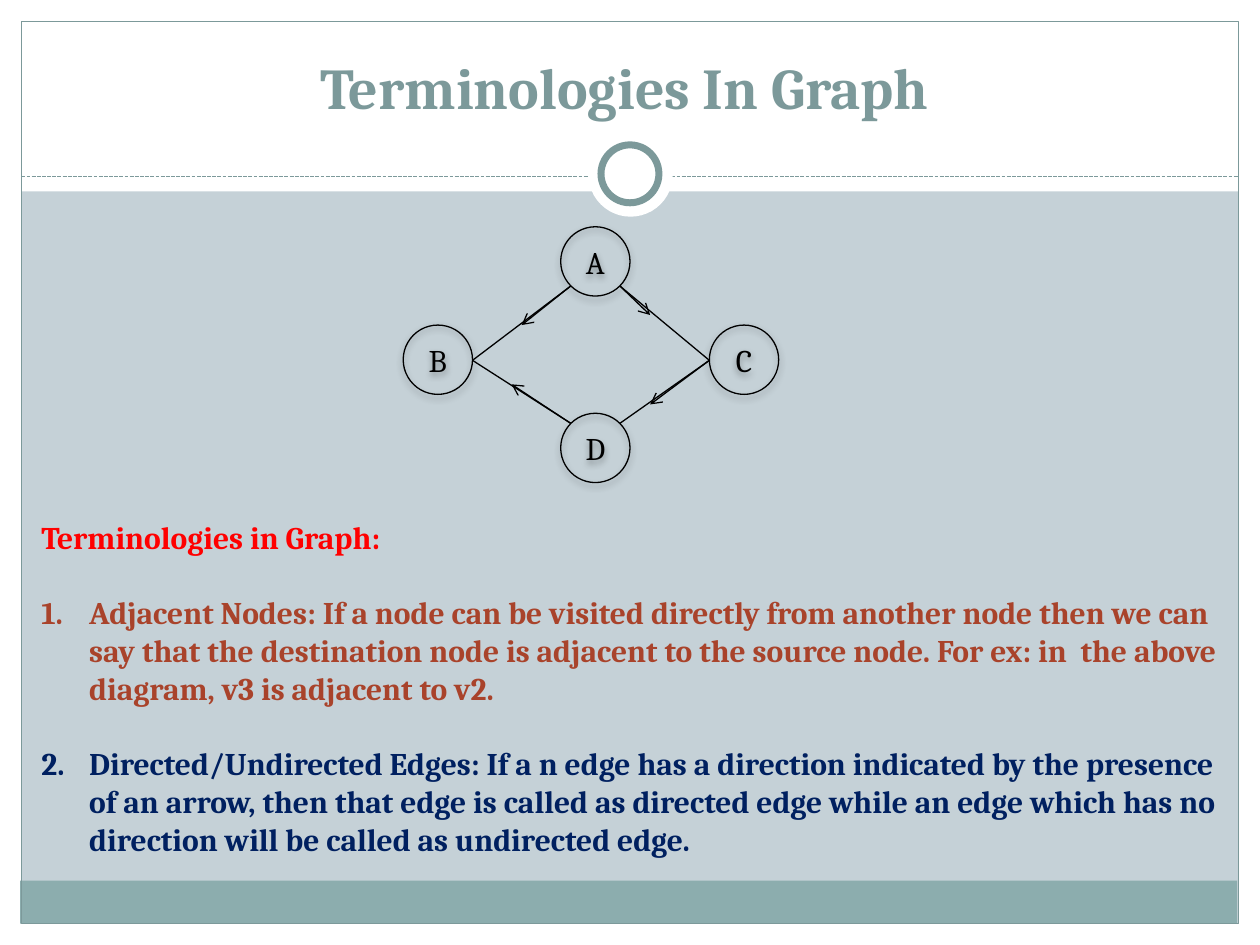
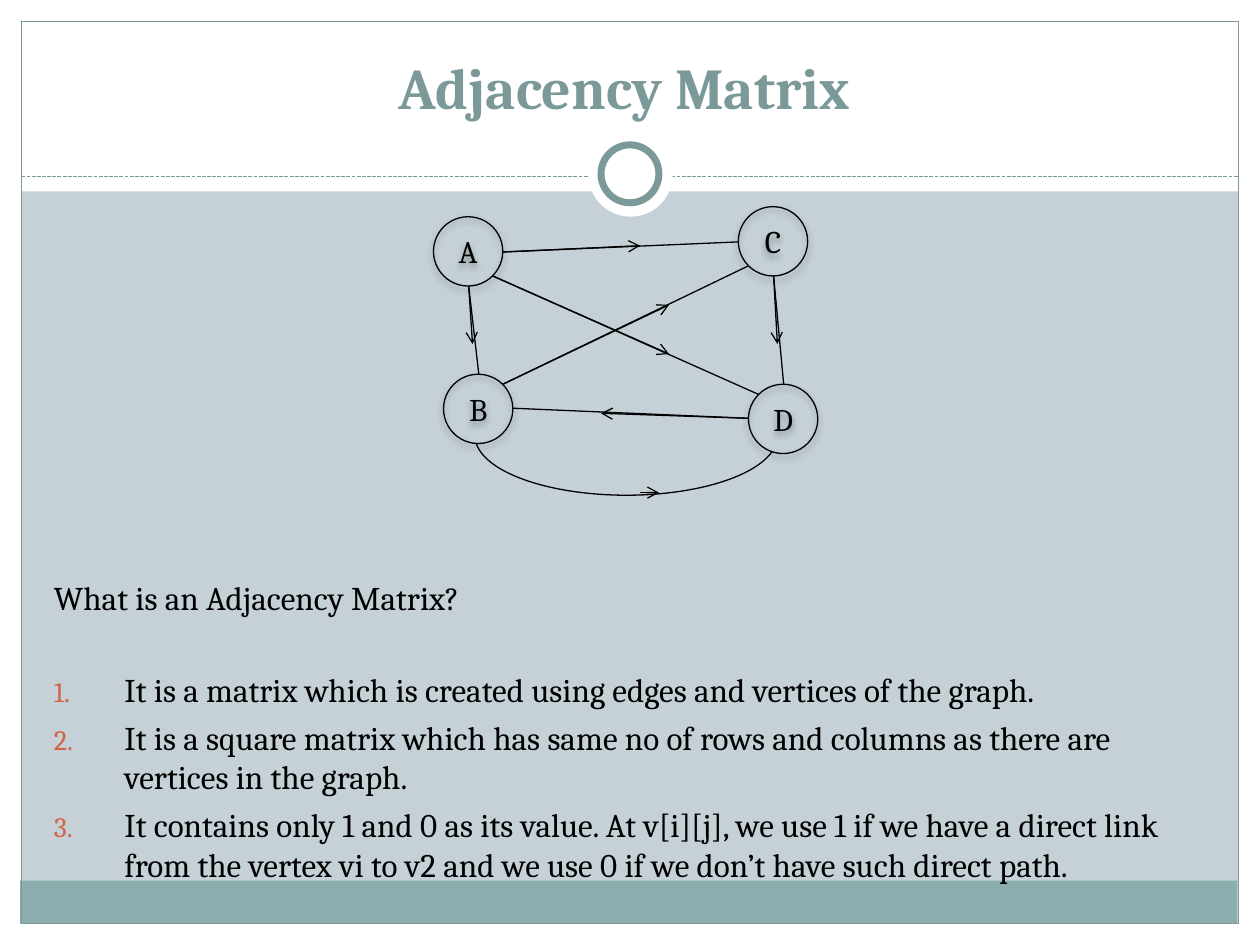
from dataclasses import dataclass
from math import sqrt
from typing import Optional

from lxml import etree
from pptx import Presentation
from pptx import util as u
from pptx.dml.color import RGBColor
from pptx.enum import dml, shapes, text
from pptx.oxml import ns

# Lengths are in px, 100 to the inch
PX = 9144
FONT = "Cambria"
COLORS = {
    "background": "C5D1D7", "white": "FFFFFF", "band": "8CADAE", "accent": "7C999A",
    "black": "000000", "red": "FF0000", "rust": "A9432B", "navy": "002060",
    "number": "D16349",
}
NODE_SIZE = 55
RECT = shapes.MSO_SHAPE.RECTANGLE
OVAL = shapes.MSO_SHAPE.OVAL

# Points where edges meet a node, as offsets in radii from its centre
DIAGONAL = 1 / sqrt(2)
SITES = {
    "N": (0, -1), "S": (0, 1), "W": (-1, 0), "E": (1, 0),
    "NW": (-DIAGONAL, -DIAGONAL), "NE": (DIAGONAL, -DIAGONAL),
    "SW": (-DIAGONAL, DIAGONAL), "SE": (DIAGONAL, DIAGONAL),
}


@dataclass(frozen=True)
class Panel:
    left: int
    top: int
    width: int
    height: int
    kind: shapes.MSO_SHAPE = RECT
    fill: Optional[str] = None
    line: Optional[str] = None
    line_width: float = 0.75


@dataclass(frozen=True)
class Node:
    left: int
    top: int

    def site(self, name: str) -> tuple[int, int]:
        radius = NODE_SIZE / 2
        dx, dy = SITES[name]
        return (round(self.left + radius * (1 + dx)),
                round(self.top + radius * (1 + dy)))


@dataclass(frozen=True)
class Edge:
    source: str
    source_site: str
    target: str
    target_site: str
    arrow_tip: tuple[int, int]


@dataclass(frozen=True)
class Line:
    words: str
    color: str = "black"
    bold: bool = False
    space_before: float = 0
    indent: int = 0
    number_color: Optional[str] = None
    number_size: int = 100


MARGINS = [
    Panel(0, 733, 1000, 17, fill="white"),
    Panel(0, 0, 1000, 152, fill="white"),
    Panel(0, 0, 17, 750, fill="white"),
    Panel(983, 0, 17, 750, fill="white"),
    Panel(16, 699, 966, 34, fill="band"),
    Panel(17, 17, 966, 716, line="accent"),
]
RINGS = [
    Panel(467, 105, 67, 67, OVAL, fill="white"),
    Panel(477, 115, 46, 46, OVAL, fill="white", line="accent", line_width=4),
]


def rgb(name: str) -> RGBColor:
    return RGBColor.from_string(COLORS[name])


def add_panel(slide, panel: Panel):
    shape = slide.shapes.add_shape(panel.kind, panel.left * PX, panel.top * PX,
                                   panel.width * PX, panel.height * PX)
    shape.shadow.inherit = False
    if panel.fill:
        shape.fill.solid()
        shape.fill.fore_color.rgb = rgb(panel.fill)
    else:
        shape.fill.background()
    if panel.line:
        shape.line.color.rgb = rgb(panel.line)
        shape.line.width = u.Pt(panel.line_width)
    else:
        shape.line.fill.background()
    return shape


def add_line(slide, start: tuple[int, int], end: tuple[int, int],
             color: str = "black", dashed: bool = False, arrow: bool = False) -> None:
    connector = slide.shapes.add_connector(
        shapes.MSO_CONNECTOR.STRAIGHT, *(value * PX for value in (*start, *end)))
    connector.line.color.rgb = rgb(color)
    connector.line.width = u.Pt(0.75)
    if dashed:
        connector.line.dash_style = dml.MSO_LINE.SQUARE_DOT
    if arrow:
        etree.SubElement(connector.line._get_or_add_ln(), ns.qn("a:tailEnd"), type="arrow")
    etree.SubElement(connector._element.spPr, ns.qn("a:effectLst"))


def write(paragraph, words: str, *, size: float, color: str = "black", bold: bool = False,
          align=text.PP_ALIGN.LEFT, space_before: float = 0) -> None:
    paragraph.alignment = align
    if space_before:
        paragraph.space_before = u.Pt(space_before)
    run = paragraph.add_run()
    run.text = words
    run.font.name = FONT
    run.font.size = u.Pt(size)
    run.font.bold = bold
    run.font.color.rgb = rgb(color)


def add_numbering(paragraph, line: Line) -> None:
    properties = paragraph._p.get_or_add_pPr()
    properties.set("marL", str(line.indent * PX))
    properties.set("indent", str(-line.indent * PX))
    if line.number_color:
        color = etree.SubElement(properties, ns.qn("a:buClr"))
        etree.SubElement(color, ns.qn("a:srgbClr"), val=COLORS[line.number_color])
    etree.SubElement(properties, ns.qn("a:buSzPct"), val=str(line.number_size * 1000))
    etree.SubElement(properties, ns.qn("a:buFont"), typeface=FONT)
    etree.SubElement(properties, ns.qn("a:buAutoNum"), type="arabicPeriod")


def add_text_box(slide, left: int, top: int, width: int, height: int):
    frame = slide.shapes.add_textbox(left * PX, top * PX, width * PX, height * PX).text_frame
    frame.word_wrap = True
    return frame


def add_body(slide, box: tuple[int, int, int, int], lines: list[Line], size: float) -> None:
    frame = add_text_box(slide, *box)
    for index, line in enumerate(lines):
        paragraph = frame.add_paragraph() if index else frame.paragraphs[0]
        if line.indent:
            add_numbering(paragraph, line)
        write(paragraph, line.words, size=size, color=line.color, bold=line.bold,
              space_before=line.space_before)


def add_node(slide, label: str, node: Node) -> None:
    shape = add_panel(slide, Panel(node.left, node.top, NODE_SIZE, NODE_SIZE, OVAL, line="black"))
    effects = shape._element.spPr.find(ns.qn("a:effectLst"))
    shadow = etree.SubElement(effects, ns.qn("a:outerShdw"), blurRad=str(u.Pt(4)),
                              dist=str(u.Pt(2)), dir="5400000", rotWithShape="0")
    color = etree.SubElement(shadow, ns.qn("a:srgbClr"), val=COLORS["black"])
    etree.SubElement(color, ns.qn("a:alpha"), val="35000")
    frame = shape.text_frame
    frame.margin_left = frame.margin_right = frame.margin_top = frame.margin_bottom = 0
    frame.vertical_anchor = text.MSO_ANCHOR.MIDDLE
    write(frame.paragraphs[0], label, size=18, align=text.PP_ALIGN.CENTER)


def add_graph(slide, nodes: dict[str, Node], edges: list[Edge]) -> None:
    for label, node in nodes.items():
        add_node(slide, label, node)
    # Each edge is a full line, with an arrow part of the way along it
    for edge in edges:
        start = nodes[edge.source].site(edge.source_site)
        add_line(slide, start, nodes[edge.target].site(edge.target_site))
        add_line(slide, start, edge.arrow_tip, arrow=True)


def add_titled_slide(presentation, title: str):
    slide = presentation.slides.add_slide(presentation.slide_layouts[6])
    slide.background.fill.solid()
    slide.background.fill.fore_color.rgb = rgb("background")
    for panel in MARGINS:
        add_panel(slide, panel)
    add_line(slide, (17, 140), (983, 140), color="accent", dashed=True)
    for ring in RINGS:
        add_panel(slide, ring)
    frame = add_text_box(slide, 187, 31, 617, 70)
    frame.vertical_anchor = text.MSO_ANCHOR.BOTTOM
    write(frame.paragraphs[0], title, size=33, color="accent", bold=True,
          align=text.PP_ALIGN.CENTER)
    return slide


def add_terminologies(presentation) -> None:
    slide = add_titled_slide(presentation, "Terminologies In Graph")
    item = {"bold": True, "space_before": 21.5, "indent": 38}
    add_body(slide, (23, 406, 953, 313), [
        Line("Terminologies in Graph:", "red", bold=True),
        Line("Adjacent Nodes: If a node can be visited directly from another node then we can "
             "say that the destination node is adjacent to the source node. For ex: in  the "
             "above diagram, v3 is adjacent to v2.", "rust", **item),
        Line("Directed/Undirected Edges: If a n edge has a direction indicated by the presence "
             "of an arrow, then that edge is called as directed edge while an edge which has no "
             "direction will be called as undirected edge.", "navy", **item),
    ], size=18)
    nodes = {"A": Node(445, 180), "D": Node(445, 328), "C": Node(563, 258), "B": Node(320, 258)}
    add_graph(slide, nodes, [
        Edge("A", "SW", "B", "E", (414, 258)),
        Edge("A", "SE", "C", "W", (516, 250)),
        Edge("C", "W", "D", "NE", (516, 321)),
        Edge("D", "NW", "B", "E", (406, 305)),
    ])


def add_adjacency_matrix(presentation) -> None:
    slide = add_titled_slide(presentation, "Adjacency Matrix")
    item = {"indent": 56, "number_color": "number", "number_size": 85}
    add_body(slide, (33, 453, 930, 266), [
        Line("What is an Adjacency Matrix?"),
        Line("It is a matrix which is created using edges and vertices of the graph.",
             space_before=30.3, **item),
        Line("It is a square matrix which has same no of rows and columns as there are "
             "vertices in the graph.", space_before=4.5, **item),
        Line("It contains only 1 and 0 as its value. At v[i][j], we use 1 if we have a direct "
             "link from the vertex vi to v2 and we use 0 if we don’t have such direct path.",
             space_before=4.5, **item),
    ], size=18.9)
    nodes = {"A": Node(344, 172), "D": Node(594, 305), "C": Node(586, 164), "B": Node(352, 297)}
    add_graph(slide, nodes, [
        Edge("A", "SE", "D", "NW", (531, 281)),
        Edge("D", "W", "B", "E", (477, 328)),
        Edge("A", "E", "C", "W", (508, 195)),
        Edge("B", "NE", "C", "SW", (531, 242)),
        Edge("A", "S", "B", "N", (375, 273)),
        Edge("C", "S", "D", "N", (617, 273)),
    ])
    # Curved edge from B to D
    curve = add_panel(slide, Panel(377, 299, 240, 94, shapes.MSO_SHAPE.ARC, line="black"))
    curve.rotation = 180
    curve.adjustments[0], curve.adjustments[1] = 111.75, 214.34
    add_line(slide, (508, 391), (523, 391), arrow=True)


def main() -> None:
    presentation = Presentation()
    presentation.slide_width = 1000 * PX
    presentation.slide_height = 750 * PX
    add_terminologies(presentation)
    add_adjacency_matrix(presentation)
    presentation.save("out.pptx")


if __name__ == "__main__":
    main()
